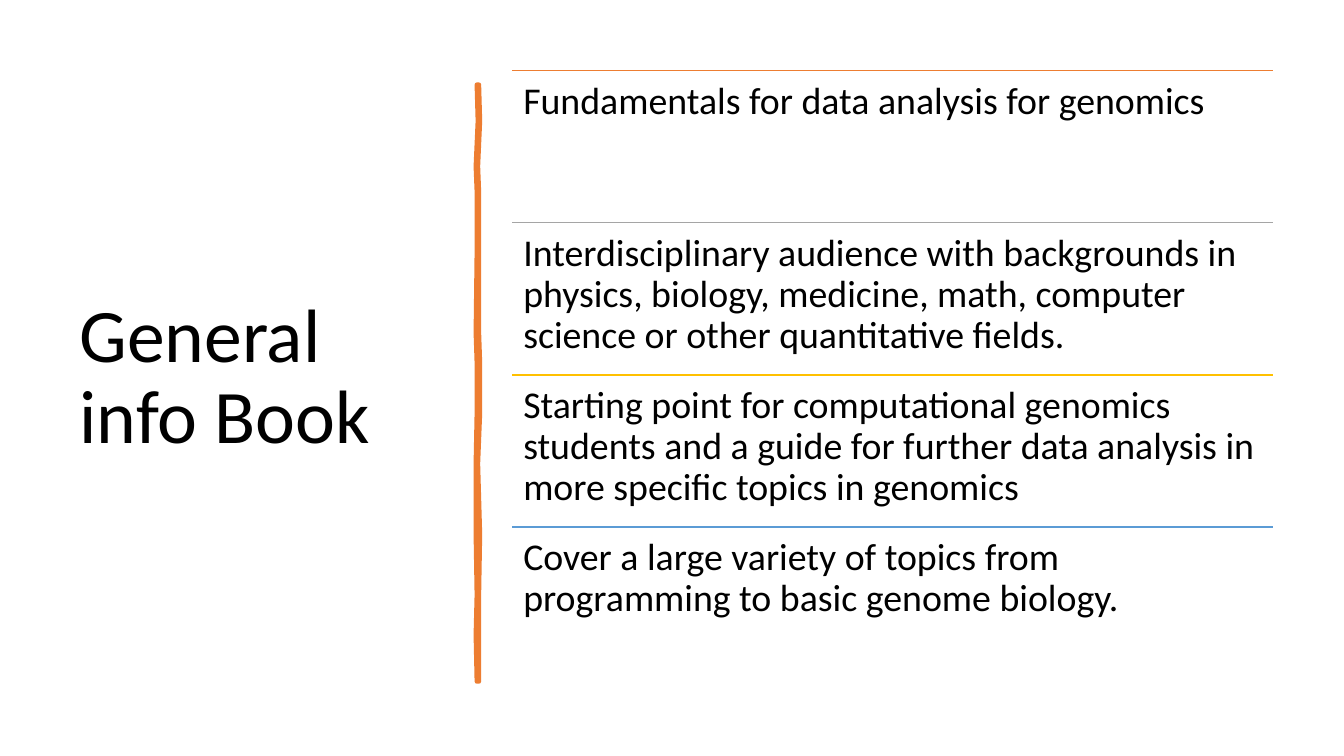
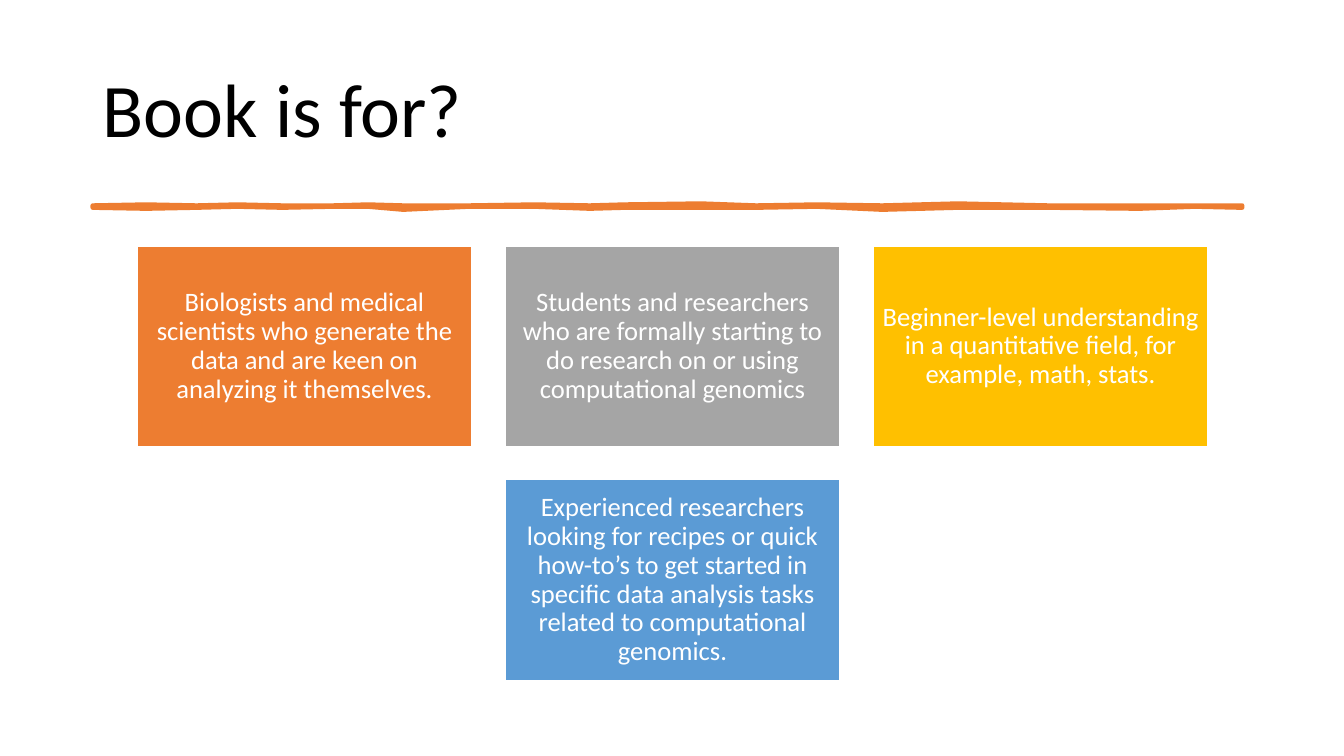
"""Build two slides that introduce a computational genomics book and its readers."""
from typing import NamedTuple

from lxml.etree import SubElement
from pptx import Presentation
from pptx.dml.color import RGBColor
from pptx.enum.shapes import MSO_CONNECTOR, MSO_SHAPE
from pptx.enum.text import MSO_ANCHOR, MSO_AUTO_SIZE, PP_ALIGN
from pptx.oxml.ns import qn
from pptx.util import Inches, Pt

FONT = "Calibri"
COLORS = {
    "text": "000000",
    "white": "FFFFFF",
    "orange": "ED7D31",
    "gray": "A5A5A5",
    "yellow": "FFC000",
    "blue": "5B9BD5",
}


class Box(NamedTuple):
    left: float
    top: float
    width: float
    height: float

    def emu(self):
        return [Inches(v) for v in self]


class Item(NamedTuple):
    text: str
    color: str


class Card(NamedTuple):
    item: Item
    col: int
    row: int


class Edge(NamedTuple):
    along: float
    near: float
    far: float


FACTS = [
    Item("Fundamentals for data analysis for genomics", "orange"),
    Item("Interdisciplinary audience with backgrounds in physics, biology, medicine, "
         "math, computer science or other quantitative fields.", "gray"),
    Item("Starting point for computational genomics students and a guide for further "
         "data analysis in more specific topics in genomics", "yellow"),
    Item("Cover a large variety of topics from programming to basic genome biology.",
         "blue"),
]
READERS = [
    Card(Item("Biologists and medical scientists who generate the data and are keen on "
              "analyzing it themselves.", "orange"), 0, 0),
    Card(Item("Students and researchers who are formally starting to do research on or "
              "using computational genomics", "gray"), 1, 0),
    Card(Item("Beginner-level understanding in a quantitative field, for example, math, "
              "stats.", "yellow"), 2, 0),
    Card(Item("Experienced researchers looking for recipes or quick how-to’s to get "
              "started in specific data analysis tasks related to computational "
              "genomics.", "blue"), 1, 1),
]
VERTICAL_BRUSH = [
    Edge(0.84, 4.73, 4.75), Edge(1.2, 4.74, 4.76), Edge(1.65, 4.72, 4.74),
    Edge(1.9, 4.73, 4.75), Edge(2.5, 4.73, 4.75), Edge(3.3, 4.72, 4.75),
    Edge(3.6, 4.73, 4.76), Edge(4.1, 4.73, 4.76), Edge(4.6, 4.72, 4.74),
    Edge(5.3, 4.72, 4.76), Edge(5.9, 4.73, 4.75), Edge(6.3, 4.72, 4.75),
    Edge(6.76, 4.73, 4.75),
]
HORIZONTAL_BRUSH = [
    Edge(0.92, 2.04, 2.06), Edge(1.45, 2.03, 2.07), Edge(1.95, 2.04, 2.06),
    Edge(2.35, 2.03, 2.05), Edge(2.8, 2.04, 2.06), Edge(3.3, 2.04, 2.05),
    Edge(3.65, 2.03, 2.05), Edge(4.0, 2.04, 2.08), Edge(4.65, 2.04, 2.05),
    Edge(5.3, 2.03, 2.05), Edge(5.85, 2.04, 2.07), Edge(6.2, 2.03, 2.06),
    Edge(6.95, 2.02, 2.06), Edge(7.5, 2.04, 2.06), Edge(8.1, 2.03, 2.05),
    Edge(8.75, 2.04, 2.08), Edge(9.5, 2.02, 2.06), Edge(10.4, 2.04, 2.06),
    Edge(11.3, 2.04, 2.07), Edge(11.85, 2.04, 2.05), Edge(12.32, 2.04, 2.06),
]


def rgb(name: str) -> RGBColor:
    return RGBColor.from_string(COLORS[name])


def write(sp, text: str, *, size: float, color: str = "text", align=PP_ALIGN.LEFT,
          anchor=MSO_ANCHOR.MIDDLE, inset: float | None = None) -> None:
    tf = sp.text_frame
    tf.word_wrap = True
    tf.auto_size = MSO_AUTO_SIZE.NONE
    tf.vertical_anchor = anchor
    if inset is not None:
        tf.margin_left = tf.margin_right = Inches(inset)
        tf.margin_top = tf.margin_bottom = Inches(inset)
    p = tf.paragraphs[0]
    p.alignment = align
    p.line_spacing = 0.9
    r = p.add_run()
    r.text = text
    r.font.name = FONT
    r.font.size = Pt(size)
    r.font.color.rgb = rgb(color)


def paint(sp, fill: str, line: str, width: float) -> None:
    sp.shadow.inherit = False
    sp.fill.solid()
    sp.fill.fore_color.rgb = rgb(fill)
    sp.line.color.rgb = rgb(line)
    sp.line.width = Pt(width)


def add_titled_slide(prs, title: str, box: Box):
    s = prs.slides.add_slide(prs.slide_layouts[5])
    sp = s.shapes.title
    sp.left, sp.top, sp.width, sp.height = box.emu()
    write(sp, title, size=54)
    return s


def add_brush(s, edges: list[Edge], vertical: bool = False) -> None:
    points = [(e.along, e.near) for e in edges]
    points += [(e.along, e.far) for e in reversed(edges)]
    if vertical:
        points = [(across, along) for along, across in points]
    start, *rest = [(Inches(x), Inches(y)) for x, y in points]
    builder = s.shapes.build_freeform(*start)
    builder.add_line_segments(rest, close=True)
    sp = builder.convert_to_shape()
    paint(sp, "orange", "orange", 3.25)
    SubElement(sp._element.spPr.find(qn("a:ln")), qn("a:round"))


def add_rule(s, box: Box, color: str) -> None:
    x, y, width, _ = box.emu()
    rule = s.shapes.add_connector(MSO_CONNECTOR.STRAIGHT, x, y, x + width, y)
    rule.line.color.rgb = rgb(color)
    rule.line.width = Pt(1)
    SubElement(rule._element.spPr, qn("a:effectLst"))


def add_fact(s, item: Item, box: Box) -> None:
    add_rule(s, box, item.color)
    sp = s.shapes.add_textbox(*box.emu())
    write(sp, item.text, size=27, anchor=MSO_ANCHOR.TOP, inset=0.11)


def add_card(s, item: Item, box: Box) -> None:
    sp = s.shapes.add_shape(MSO_SHAPE.RECTANGLE, *box.emu())
    paint(sp, item.color, "white", 1)
    write(sp, item.text, size=19, color="white", align=PP_ALIGN.CENTER, inset=0.08)


def build_info(prs) -> None:
    s = add_titled_slide(prs, "General info Book", Box(0.69, 0.7, 3.74, 6.11))
    add_brush(s, VERTICAL_BRUSH, vertical=True)
    height = 1.51
    for i, item in enumerate(FACTS):
        add_fact(s, item, Box(5.08, 0.7 + i * height, 7.55, height))


def build_readers(prs) -> None:
    s = add_titled_slide(prs, "Book is for?", Box(0.92, 0.4, 11.5, 1.45))
    add_brush(s, HORIZONTAL_BRUSH)
    width, height, gap = 3.32, 1.99, 0.33
    for item, col, row in READERS:
        left = 1.36 + col * (width + gap)
        top = 2.44 + row * (height + gap)
        add_card(s, item, Box(left, top, width, height))


def main() -> None:
    prs = Presentation()
    prs.slide_width, prs.slide_height = Inches(13.33), Inches(7.5)
    build_info(prs)
    build_readers(prs)
    prs.save("out.pptx")


main()
